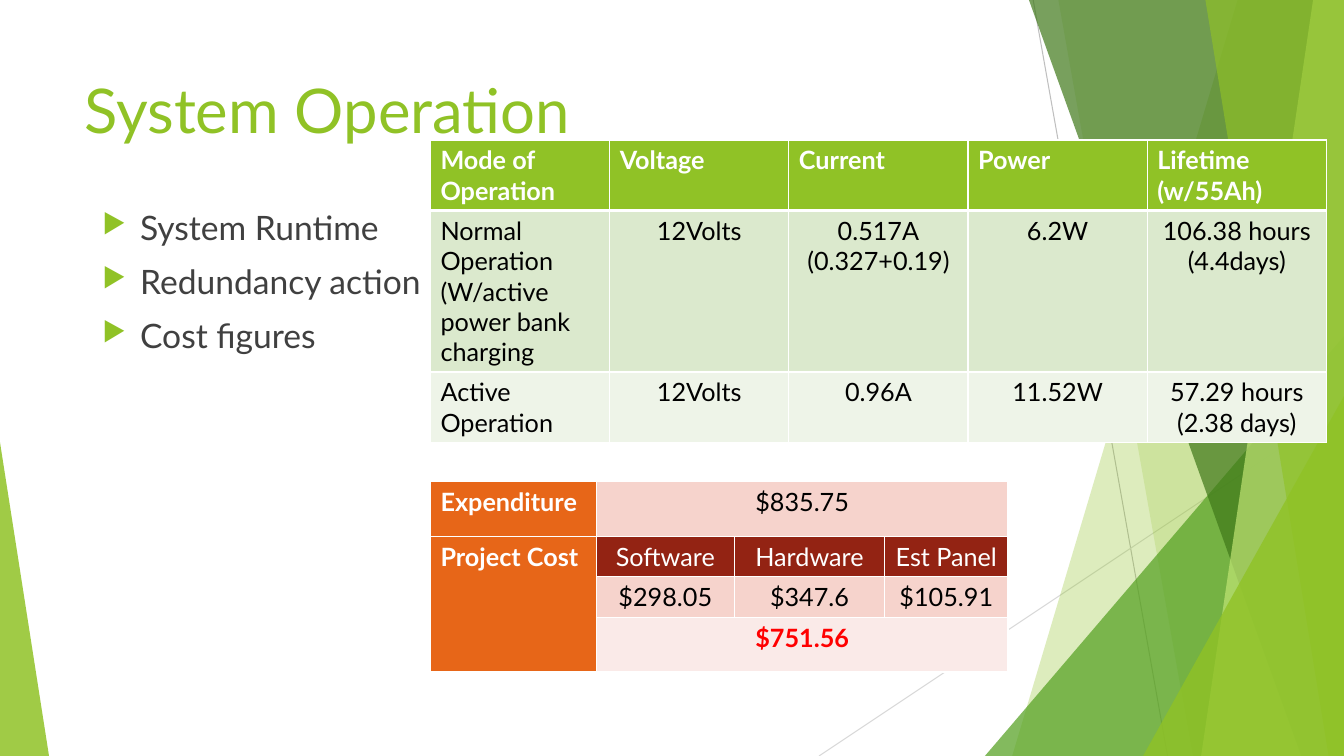
from lxml import etree
from pptx import Presentation
from pptx.dml.color import RGBColor
from pptx.enum.shapes import MSO_CONNECTOR, MSO_SHAPE
from pptx.enum.text import MSO_ANCHOR, PP_ALIGN
from pptx.oxml.ns import qn
from pptx.util import Pt

LEFT, MID = PP_ALIGN.LEFT, PP_ALIGN.CENTER
TOP = MSO_ANCHOR.TOP
LINE = MSO_CONNECTOR.STRAIGHT
PEAK = MSO_SHAPE.ISOSCELES_TRIANGLE

FONT = "Lato"
WIDE, HIGH = 960, 540
WHITE = RGBColor(0xFF, 0xFF, 0xFF)
BLACK = RGBColor(0x00, 0x00, 0x00)
RED = RGBColor(0xFF, 0x00, 0x00)
GRAY = RGBColor(0x40, 0x40, 0x40)
SILVER = RGBColor(0xBF, 0xBF, 0xBF)
PALE = RGBColor(0xD9, 0xD9, 0xD9)
LIME = RGBColor(0x90, 0xC2, 0x26)
GREEN = RGBColor(0x54, 0xA0, 0x21)
FOREST = RGBColor(0x3F, 0x78, 0x19)
SPRING = RGBColor(0xC0, 0xE4, 0x74)
MINT = RGBColor(0xDB, 0xE9, 0xCD)
MIST = RGBColor(0xEE, 0xF4, 0xE8)
ORANGE = RGBColor(0xE7, 0x66, 0x18)
BRICK = RGBColor(0x93, 0x23, 0x13)
ROSE = RGBColor(0xF6, 0xD3, 0xCC)
BLUSH = RGBColor(0xFA, 0xEA, 0xE8)

HEAD = (LIME, WHITE, True, LEFT)
ODD = (MINT, BLACK, False, MID)
EVEN = (MIST, BLACK, False, MID)
LABEL = (ORANGE, WHITE, True, LEFT)
KIND = (BRICK, WHITE, False, MID)
COST = (ROSE, BLACK, False, MID)
TOTAL = (BLUSH, RED, True, MID)

POINTS = ["System Runtime", "Redundancy action", "Cost figures"]
MODES = [
    ["Mode of Operation", "Voltage", "Current", "Power", "Lifetime (w/55Ah)"],
    ["Normal Operation (W/active power bank charging", "12Volts",
     "0.517A\n(0.327+0.19)", "6.2W", "106.38 hours (4.4days)"],
    ["Active Operation", "12Volts", "0.96A", "11.52W",
     "57.29 hours (2.38 days)"],
]
COSTS = [
    ["Expenditure", "$835.75", "", ""],
    ["Project Cost", "Software", "Hardware", "Est Panel"],
    ["", "$298.05", "$347.6", "$105.91"],
    ["", "$751.56", "", ""],
]


def add_line(slide, start, end, color):
    line = slide.shapes.add_connector(LINE, *map(Pt, start + end))
    line.line.color.rgb = color
    line.line.width = Pt(0.75)
    etree.SubElement(line.element.spPr, qn("a:effectLst"))


def paint(shape, color, alpha):
    shape.shadow.inherit = False
    shape.line.fill.background()
    shape.fill.solid()
    shape.fill.fore_color.rgb = color
    tint = shape.element.spPr.find(qn("a:solidFill"))[0]
    etree.SubElement(tint, qn("a:alpha"), val=str(alpha * 1000))


def add_band(slide, top, foot, color, alpha):
    pen = slide.shapes.build_freeform(Pt(top), 0, 1)
    edge = [(WIDE, 0), (WIDE, HIGH), (foot, HIGH)]
    pen.add_line_segments([(Pt(x), Pt(y)) for x, y in edge], close=True)
    paint(pen.convert_to_shape(), color, alpha)


def add_peak(slide, left, top, width, tip, color, alpha):
    peak = slide.shapes.add_shape(
        PEAK, Pt(left), Pt(top), Pt(width), Pt(HIGH - top))
    peak.adjustments[0] = tip
    paint(peak, color, alpha)


def add_facets(slide):
    add_line(slide, (738, 0), (834, HIGH), SILVER)
    add_line(slide, (WIDE, 290), (585, HIGH), PALE)
    add_band(slide, 884, 723, LIME, 30)
    add_band(slide, 756, 852, LIME, 20)
    add_peak(slide, 703.5, 240, 256.5, 1, GREEN, 72)
    add_band(slide, 735, 929.5, FOREST, 70)
    add_band(slide, 938, 858, SPRING, 70)
    add_band(slide, 861, 949, LIME, 65)
    add_peak(slide, 816.5, 283, 143.5, 1, LIME, 80)
    add_peak(slide, 0, 316, 35, 0, LIME, 85)


def set_font(para, size, color, bold=False):
    para.font.name = FONT
    para.font.size = Pt(size)
    para.font.color.rgb = color
    para.font.bold = bold


def set_title(slide, text):
    title = slide.shapes.title
    title.left, title.top = Pt(53), Pt(48)
    title.width, title.height = Pt(677), Pt(104)
    frame = title.text_frame
    frame.text = text
    frame.vertical_anchor = TOP
    frame.paragraphs[0].alignment = LEFT
    set_font(frame.paragraphs[0], 44, LIME)


def add_bullet(para):
    props = para._p.get_or_add_pPr()
    props.set("marL", str(Pt(27)))
    props.set("indent", str(Pt(-27)))
    tint = etree.SubElement(props, qn("a:buClr"))
    etree.SubElement(tint, qn("a:srgbClr"), val=str(LIME))
    etree.SubElement(props, qn("a:buSzPct"), val="80000")
    etree.SubElement(props, qn("a:buChar"), char="▶")


def add_list(slide, items):
    box = slide.shapes.add_textbox(Pt(66), Pt(144), Pt(828), Pt(312))
    frame = box.text_frame
    frame.word_wrap = True
    frame.text = "\n".join(items)
    for i, para in enumerate(frame.paragraphs):
        para.space_before = Pt(10 if i else 0)
        add_bullet(para)
        set_font(para, 24, GRAY)


def add_edges(cell, top, bottom):
    props = cell._tc.get_or_add_tcPr()
    for side, size in zip("LRTB", (1, 1, top, bottom)):
        edge = etree.SubElement(props, qn("a:ln" + side), w=str(Pt(size)))
        fill = etree.SubElement(edge, qn("a:solidFill"))
        etree.SubElement(fill, qn("a:srgbClr"), val=str(WHITE))


def fill_cell(cell, text, style, align):
    fill, ink, bold, _ = style
    cell.fill.solid()
    cell.fill.fore_color.rgb = fill
    cell.text = text
    for para in cell.text_frame.paragraphs:
        para.alignment = align
        set_font(para, 18, ink, bold)


def add_grid(slide, top, widths, heights, rows, styles, rule):
    table = slide.shapes.add_table(
        len(rows), len(widths), Pt(307.5), Pt(top),
        Pt(sum(widths)), Pt(sum(heights))).table
    for col, width in zip(table.columns, widths):
        col.width = Pt(width)
    for r, texts in enumerate(rows):
        table.rows[r].height = Pt(heights[r])
        for c, text in enumerate(texts):
            cell = table.cell(r, c)
            style = styles[r][min(c, 1)]
            add_edges(cell, rule if r == 1 else 1, rule if r == 0 else 1)
            fill_cell(cell, text, style, style[3] if c else LEFT)
    return table


def main():
    deck = Presentation()
    deck.slide_width, deck.slide_height = Pt(WIDE), Pt(HIGH)
    slide = deck.slides.add_slide(deck.slide_layouts[5])
    add_facets(slide)
    set_title(slide, "System Operation")
    add_list(slide, POINTS)
    add_grid(slide, 100, [128] * 5, [50.4, 115.2, 50.4], MODES,
             [(HEAD, HEAD), (ODD, ODD), (EVEN, EVEN)], 3)
    costs = add_grid(slide, 344, [118.5, 98.5, 107.5, 88], [39, 29, 29, 39],
                     COSTS, [(LABEL, s) for s in (COST, KIND, COST, TOTAL)], 1)
    for row in (0, 3):
        costs.cell(row, 1).merge(costs.cell(row, 3))
    costs.cell(1, 0).merge(costs.cell(3, 0))
    deck.save("out.pptx")


if __name__ == "__main__":
    main()
